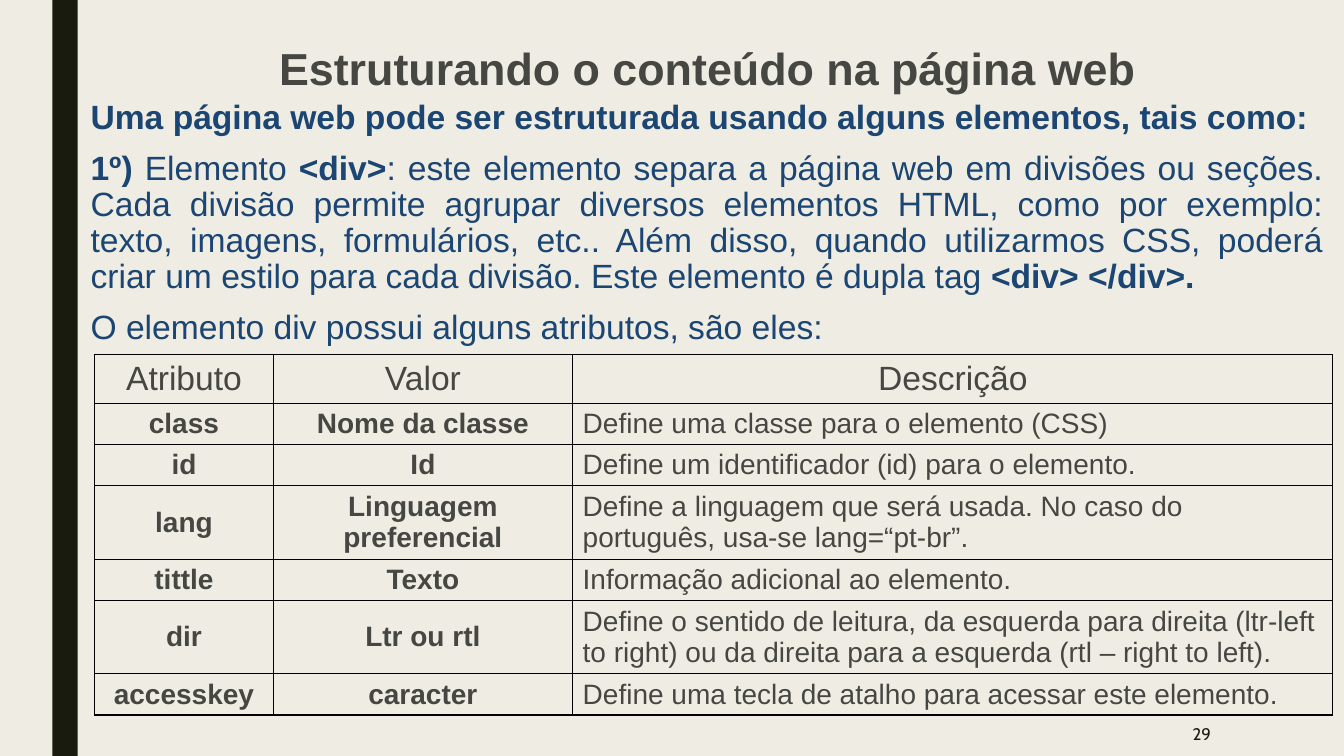
from lxml import etree
from pptx import Presentation
from pptx.dml.color import RGBColor
from pptx.enum.shapes import MSO_SHAPE as Shape
from pptx.enum.text import MSO_ANCHOR as Anchor, PP_ALIGN as Align
from pptx.oxml.ns import qn
from pptx.util import Inches, Pt

BACKGROUND, DARK, GREY, BLUE, BLACK = "EFEDE3", "191B0E", "464743", "1B4572", "000000"

TITLE = "Estruturando o conteúdo na página web"
LEAD = "Uma página web pode ser estruturada usando alguns elementos, tais como:"
# Each paragraph is a list of (text, bold) runs
BODY = [
    [
        ("1º) ", True),
        ("Elemento ", False),
        ("<div>", True),
        (": este elemento separa a página web em divisões ou seções. Cada divisão "
         "permite agrupar diversos elementos HTML, como por exemplo: texto, imagens, "
         "formulários, etc.. Além disso, quando utilizarmos CSS, poderá criar um estilo "
         "para cada divisão. Este elemento é dupla tag ", False),
        ("<div> </div>.", True),
    ],
    [("O elemento div possui alguns atributos, são eles:", False)],
]
ATTRIBUTES = [
    ("Atributo", "Valor", "Descrição"),
    ("class", "Nome da classe", "Define uma classe para o elemento (CSS)"),
    ("id", "Id", "Define um identificador (id) para o elemento."),
    ("lang", "Linguagem preferencial",
     "Define a linguagem que será usada. No caso do português, usa-se lang=“pt-br”."),
    ("tittle", "Texto", "Informação adicional ao elemento."),
    ("dir", "Ltr ou rtl",
     "Define o sentido de leitura, da esquerda para direita (ltr-left to right) "
     "ou da direita para a esquerda (rtl – right to left)."),
    ("accesskey", "caracter", "Define uma tecla de atalho para acessar este elemento."),
]
COLUMN_WIDTHS = (1.77, 2.97, 7.54)
HEADER_HEIGHT, ONE_LINE, TWO_LINES = 0.48, 0.41, 0.72
ROW_HEIGHTS = (HEADER_HEIGHT, ONE_LINE, ONE_LINE, TWO_LINES, ONE_LINE, TWO_LINES, ONE_LINE)
CELL_MARGINS = {"margin_top": Inches(0.03), "margin_bottom": Inches(0.03),
                "margin_right": Inches(0.12)}


def color(value):
    return RGBColor.from_string(value)


def set_values(target, values):
    for name, value in values.items():
        setattr(target, name, value)


def fill_paragraph(paragraph, runs, size, text_color, font="Arial", **layout):
    set_values(paragraph, layout)
    for text, bold in runs:
        run = paragraph.add_run()
        run.text = text
        set_values(run.font, {"name": font, "size": Pt(size), "bold": bold})
        run.font.color.rgb = color(text_color)


def add_text(slide, box, paragraphs, size, text_color, anchor=Anchor.TOP, **layout):
    frame = slide.shapes.add_textbox(*map(Inches, box)).text_frame
    set_values(frame, {"word_wrap": True, "vertical_anchor": anchor})
    for index, runs in enumerate(paragraphs):
        paragraph = frame.add_paragraph() if index else frame.paragraphs[0]
        if index:
            paragraph.space_before = Pt(10)
        fill_paragraph(paragraph, runs, size, text_color, **layout)


def add_side_bar(slide, box):
    bar = slide.shapes.add_shape(Shape.RECTANGLE, *map(Inches, box))
    bar.shadow.inherit = False
    bar.fill.solid()
    bar.fill.fore_color.rgb = color(DARK)
    bar.line.fill.background()


def add_borders(cell):
    properties = cell._tc.get_or_add_tcPr()
    for side in ("lnL", "lnR", "lnT", "lnB"):
        line = etree.SubElement(properties, qn(f"a:{side}"), w=str(Pt(1)))
        fill = etree.SubElement(line, qn("a:solidFill"))
        etree.SubElement(fill, qn("a:srgbClr"), val=BLACK)


def add_attribute_table(slide, left, top):
    table = slide.shapes.add_table(
        len(ROW_HEIGHTS), len(COLUMN_WIDTHS), Inches(left), Inches(top),
        Inches(sum(COLUMN_WIDTHS)), Inches(sum(ROW_HEIGHTS))).table
    set_values(table, {"first_row": False, "horz_banding": False})
    for column, width in zip(table.columns, COLUMN_WIDTHS):
        column.width = Inches(width)
    for row, height in zip(table.rows, ROW_HEIGHTS):
        row.height = Inches(height)
    for row_index, texts in enumerate(ATTRIBUTES):
        header = row_index == 0
        for column_index, text in enumerate(texts):
            description = column_index == 2 and not header
            cell = table.cell(row_index, column_index)
            set_values(cell, {"vertical_anchor": Anchor.MIDDLE})
            if description:
                set_values(cell, CELL_MARGINS)
            else:
                set_values(cell, {**CELL_MARGINS, "margin_right": Inches(0.1)})
            # Borders come before the fill in the cell properties
            add_borders(cell)
            cell.fill.background()
            fill_paragraph(
                cell.text_frame.paragraphs[0],
                [(text, not header and not description)],
                24 if header else 20, GREY,
                alignment=Align.LEFT if description else Align.CENTER)


def build_slide(presentation):
    slide = presentation.slides.add_slide(presentation.slide_layouts[6])
    slide.background.fill.solid()
    slide.background.fill.fore_color.rgb = color(BACKGROUND)

    # Side bar and title
    add_side_bar(slide, (0.52, 0, 0.25, 7.5))
    add_text(slide, (0.8, 0.42, 12.44, 0.66), [[(TITLE, True)]], 32, GREY,
             alignment=Align.CENTER, line_spacing=0.9)

    # Explanation
    justified = {"alignment": Align.JUSTIFY, "line_spacing": 0.9}
    add_text(slide, (0.8, 1.45, 12.42, 2.11), BODY, 24, BLUE, **justified)
    add_text(slide, (0.8, 0.95, 12.42, 0.6), [[(LEAD, True)]], 24, BLUE, **justified)

    # Attributes and page number
    add_attribute_table(slide, 0.94, 3.52)
    add_text(slide, (10.36, 7.06, 1.75, 0.44), [[("29", False)]], 12, DARK,
             anchor=Anchor.MIDDLE, font="Cabin", alignment=Align.RIGHT)


def main():
    presentation = Presentation()
    set_values(presentation, {"slide_width": Inches(13.33), "slide_height": Inches(7.5)})
    build_slide(presentation)
    presentation.save("out.pptx")


if __name__ == "__main__":
    main()
